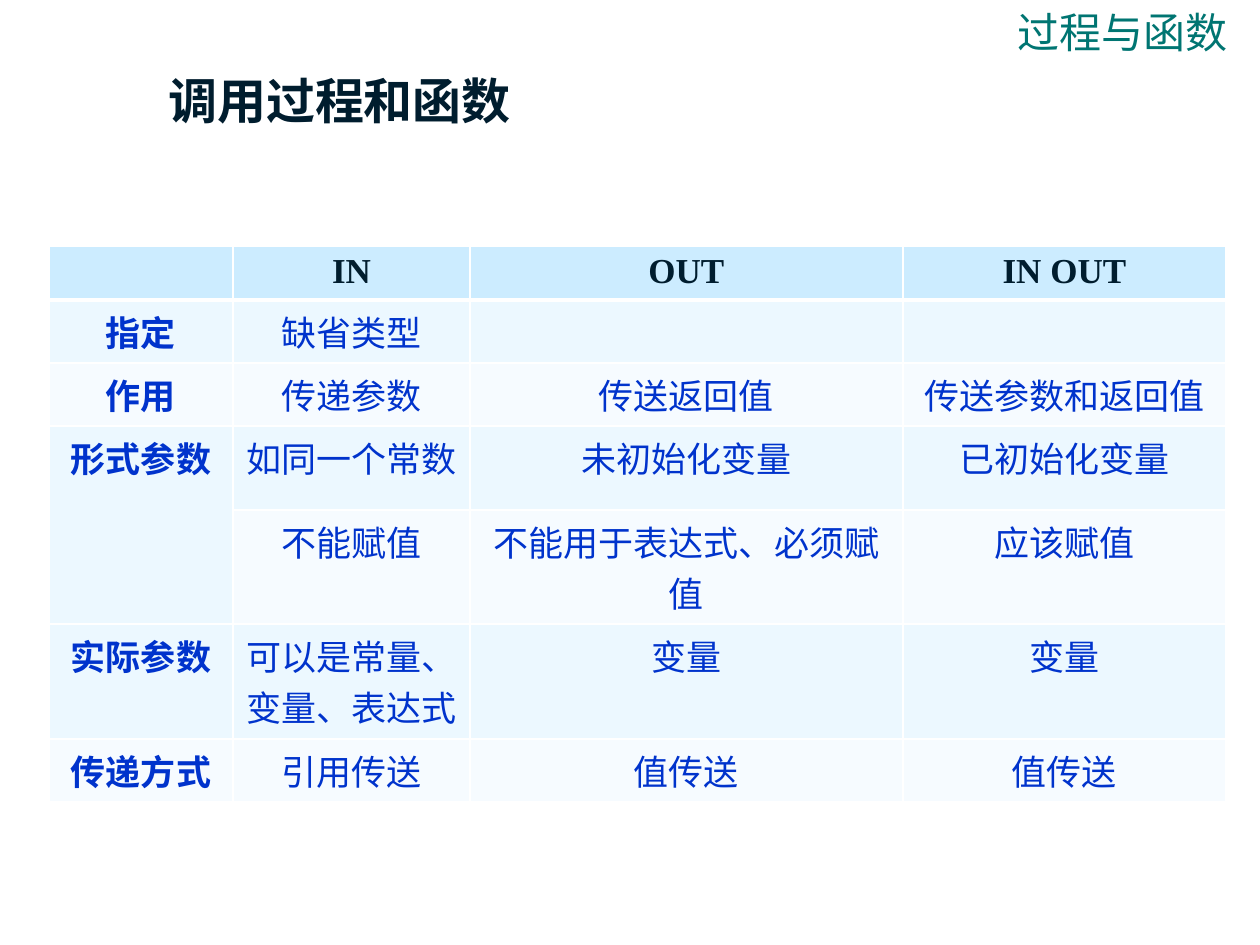
"""Build a slide comparing IN, OUT and IN OUT parameter modes."""
from dataclasses import dataclass

from lxml import etree
from pptx import Presentation
from pptx.dml.color import RGBColor
from pptx.enum.text import MSO_ANCHOR, PP_ALIGN
from pptx.oxml.ns import qn
from pptx.util import Emu, Pt

CENTER = PP_ALIGN.CENTER
MIDDLE = MSO_ANCHOR.MIDDLE

TEAL = RGBColor(0x00, 0x75, 0x72)
NAVY = RGBColor(0x00, 0x1D, 0x2E)
BLUE = RGBColor(0x00, 0x33, 0xCC)
WHITE = RGBColor(0xFF, 0xFF, 0xFF)
HEADER_FILL = RGBColor(0xCC, 0xEC, 0xFF)
BAND_FILLS = (RGBColor(0xF6, 0xFB, 0xFF), RGBColor(0xEC, 0xF8, 0xFF))

THIN, THICK = Pt(1), Pt(3)
COL_WIDTHS = (184, 237, 433, 323)
ROW_HEIGHTS = (51, 63, 63, 84, 114, 115, 63)
ROWS = (
    ("", "IN", "OUT", "IN OUT"),
    ("指定", "缺省类型", "", ""),
    ("作用", "传递参数", "传送返回值", "传送参数和返回值"),
    ("形式参数", "如同一个常数", "未初始化变量", "已初始化变量"),
    ("", "不能赋值", "不能用于表达式、必须赋值", "应该赋值"),
    ("实际参数", "可以是常量、变量、表达式", "变量", "变量"),
    ("传递方式", "引用传送", "值传送", "值传送"),
)


@dataclass
class Label:
    text: str
    left: int
    top: int
    width: int
    height: int
    size: int
    color: RGBColor
    bold: bool


LABELS = (
    Label("过程与函数", 985, 0, 276, 63, 24, TEAL, False),
    Label("调用过程和函数", 69, 68, 541, 63, 28, NAVY, True),
)


def px(n: int) -> Emu:
    return Emu(round(n * 914400 / 126))


def style_text(p, text: str, name: str, size: int, color: RGBColor, bold: bool) -> None:
    p.text = text
    p.alignment = CENTER
    p.font.name = name
    p.font.size = Pt(size)
    p.font.color.rgb = color
    p.font.bold = bold


def add_label(s, label: Label) -> None:
    box = s.shapes.add_textbox(px(label.left), px(label.top), px(label.width), px(label.height))
    tf = box.text_frame
    tf.word_wrap = True
    tf.vertical_anchor = MIDDLE
    style_text(tf.paragraphs[0], label.text, "Arial", label.size, label.color, label.bold)


def set_borders(cell, top: int, bottom: int) -> None:
    tc_pr = cell._tc.get_or_add_tcPr()
    for side, width in (("L", THIN), ("R", THIN), ("T", top), ("B", bottom)):
        ln = etree.SubElement(tc_pr, qn(f"a:ln{side}"), w=str(width))
        fill = etree.SubElement(ln, qn("a:solidFill"))
        etree.SubElement(fill, qn("a:srgbClr"), val=str(WHITE))


def style_cell(cell, text: str, row: int, col: int) -> None:
    header = row == 0
    set_borders(cell, THICK if row == 1 else THIN, THICK if header else THIN)
    cell.fill.solid()
    cell.fill.fore_color.rgb = HEADER_FILL if header else BAND_FILLS[row % 2]
    cell.margin_left = cell.margin_right = px(10)
    cell.margin_top = cell.margin_bottom = px(6)
    if text:
        style_text(cell.text_frame.paragraphs[0], text, "Times New Roman", 20,
                   NAVY if header else BLUE, header or col == 0)


def add_modes_table(s) -> None:
    frame = s.shapes.add_table(len(ROWS), len(COL_WIDTHS), px(49), px(246),
                               px(sum(COL_WIDTHS)), px(sum(ROW_HEIGHTS)))
    table = frame.table
    table.first_row = table.horz_banding = False
    for column, width in zip(table.columns, COL_WIDTHS):
        column.width = px(width)
    for row, height in zip(table.rows, ROW_HEIGHTS):
        row.height = px(height)
    for i, texts in enumerate(ROWS):
        for j, text in enumerate(texts):
            style_cell(table.cell(i, j), text, i, j)
    table.cell(3, 0).merge(table.cell(4, 0))


def main() -> None:
    prs = Presentation()
    prs.slide_width, prs.slide_height = px(1260), px(945)
    s = prs.slides.add_slide(prs.slide_layouts[6])
    title, heading = LABELS
    add_label(s, title)
    add_modes_table(s)
    add_label(s, heading)
    prs.save("out.pptx")


if __name__ == "__main__":
    main()
